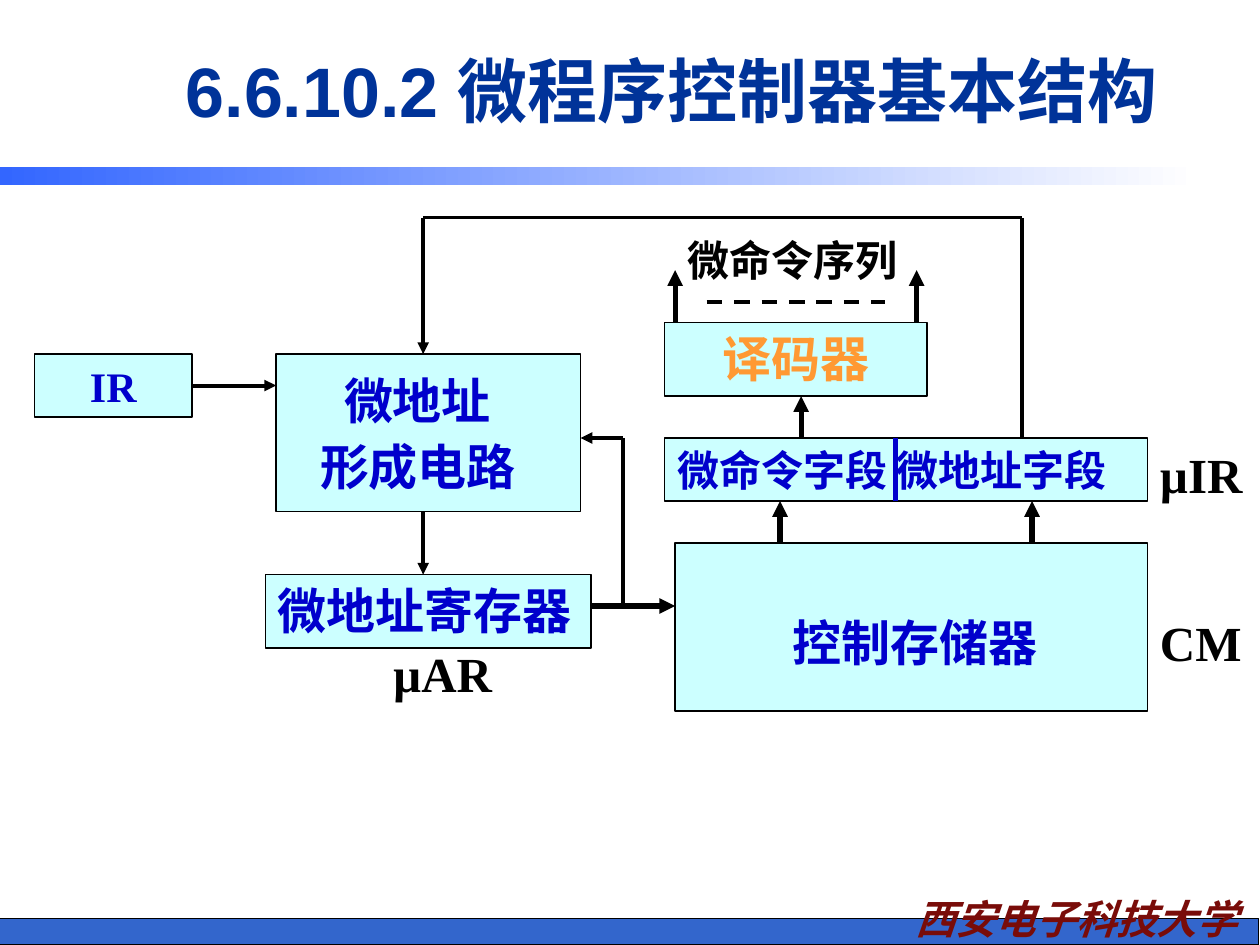
from lxml import etree
from pptx import Presentation
from pptx import util as u
from pptx.dml.color import RGBColor
from pptx.enum import dml, shapes, text
from pptx.oxml import ns

WIDTH, HEIGHT = 10, 7.5
CELL = 1 / 12                  # grid step of the diagram, inches
GRID_X, GRID_Y = 0.025, 0.06   # grid origin, inches

BLACK = RGBColor(0x00, 0x00, 0x00)
WHITE = RGBColor(0xFF, 0xFF, 0xFF)
PALE_CYAN = RGBColor(0xCC, 0xFF, 0xFF)
BLUE = RGBColor(0x00, 0x00, 0xCC)
ORANGE = RGBColor(0xFF, 0x99, 0x33)
TITLE_BLUE = RGBColor(0x00, 0x33, 0x99)
BAND_BLUE = RGBColor(0x33, 0x66, 0xFF)
FOOTER_BLUE = RGBColor(0x33, 0x66, 0xCC)
DARK_RED = RGBColor(0x79, 0x0C, 0x09)

SERIF, SANS, CHINESE = "Times New Roman", "Arial", "Noto Sans CJK SC"


def col(n):
    return u.Inches(GRID_X + n * CELL)


def row(n):
    return u.Inches(GRID_Y + n * CELL)


def cells(left, top, right, bottom):
    """Left, top, width and height of a block of grid cells."""
    return col(left), row(top), col(right) - col(left), row(bottom) - row(top)


def share(left, top, width, height):
    """Left, top, width and height from shares of the slide's size."""
    return (u.Inches(left * WIDTH), u.Inches(top * HEIGHT),
            u.Inches(width * WIDTH), u.Inches(height * HEIGHT))


def write(holder, lines, size=28, color=BLUE, font=SERIF, italic=False,
          align=text.PP_ALIGN.LEFT, anchor=text.MSO_ANCHOR.TOP,
          indents=(0,), spacing=None, gap=0):
    """Write one paragraph a line; indents are in inches, gap in points."""
    frame = holder.text_frame
    frame.word_wrap = True
    frame.vertical_anchor = anchor
    indents = list(indents) + [0] * len(lines)
    for i, (line, indent) in enumerate(zip(lines, indents)):
        para = frame.paragraphs[0] if i == 0 else frame.add_paragraph()
        para.alignment = align
        if indent:
            para._p.get_or_add_pPr().set("marL", str(u.Inches(indent)))
        if spacing:
            para.line_spacing = spacing
        if i:
            para.space_before = u.Pt(gap)
        run = para.add_run()
        run.text = line
        run.font.size, run.font.name = u.Pt(size), font
        run.font.bold, run.font.italic = True, italic
        run.font.color.rgb = color
        east_asian = etree.SubElement(run._r.rPr, ns.qn("a:ea"))
        east_asian.set("typeface", CHINESE)


def label(slide, place, lines, **style):
    write(slide.shapes.add_textbox(*place), lines, **style)


def box(slide, place, lines=(), fill=PALE_CYAN, **style):
    block = slide.shapes.add_shape(shapes.MSO_SHAPE.RECTANGLE, *place)
    block.shadow.inherit = False
    block.fill.solid()
    block.fill.fore_color.rgb = fill
    block.line.color.rgb = BLACK
    block.line.width = u.Pt(0.75)
    if lines:
        write(block, lines, **style)


def wire(slide, points, width=2.25, color=BLACK, arrow=False, dashed=False):
    """Join grid points with straight lines; the arrow sits on the last."""
    for i, (start, end) in enumerate(zip(points, points[1:]), start=2):
        line = slide.shapes.add_connector(
            shapes.MSO_CONNECTOR.STRAIGHT,
            col(start[0]), row(start[1]), col(end[0]), row(end[1]))
        line.line.color.rgb = color
        line.line.width = u.Pt(width)
        if dashed:
            line.line.dash_style = dml.MSO_LINE.DASH
        if arrow and i == len(points):
            tail = etree.SubElement(line.line._get_or_add_ln(),
                                    ns.qn("a:tailEnd"))
            tail.set("type", "triangle")
        etree.SubElement(line._element.spPr, ns.qn("a:effectLst"))


def gradient_band(slide, place):
    band = slide.shapes.add_shape(shapes.MSO_SHAPE.RECTANGLE, *place)
    band.shadow.inherit = False
    band.line.fill.background()
    band.fill.gradient()
    band.fill.gradient_angle = 0
    for stop, color in zip(band.fill.gradient_stops, (BAND_BLUE, WHITE)):
        stop.color.rgb = color


def add_frame(slide):
    centred = text.PP_ALIGN.CENTER
    box(slide, share(-0.001, 0.972, 1, 0.028), fill=FOOTER_BLUE)
    label(slide, share(0.697, 0.94, 0.315, 0.065), ["西安电子科技大学"],
          size=23, color=DARK_RED, font=CHINESE, italic=True, align=centred)
    gradient_band(slide, share(0, 0.177, 0.951, 0.019))
    label(slide, share(0.133, 0.023, 0.8, 0.144),
          ["6.6.10.2 微程序控制器基本结构"], size=40, color=TITLE_BLUE,
          font=SANS, align=centred, anchor=text.MSO_ANCHOR.MIDDLE)


def add_blocks(slide):
    # Address side: instruction register, address circuit, address register
    box(slide, cells(26, 33, 55, 48))
    label(slide, cells(29, 36, 56, 47), ["微地址", "形成电路"],
          indents=(0.19,), spacing=0.6, gap=17.5)
    box(slide, cells(3, 33, 18, 39), ["IR"], size=24, indents=(0.34,))
    box(slide, cells(25, 54, 56, 61), ["微地址寄存器"])
    label(slide, cells(35, 60, 51, 67), ["µAR"], color=BLACK,
          indents=(0.08,))

    # Control memory
    box(slide, cells(64, 51, 109, 67))
    label(slide, cells(74, 57, 102, 64), ["控制存储器"])
    label(slide, cells(109, 57, 122, 64), ["CM"], color=BLACK)

    # Decoder and its output
    box(slide, cells(63, 30, 88, 37), ["译码器"], color=ORANGE,
        indents=(0.36,))
    label(slide, cells(64, 21, 89, 27), ["微命令序列"], size=24, color=BLACK)

    # Microinstruction register with its two fields
    box(slide, cells(63, 41, 109, 47), ["微命令字段 微地址字段"],
        size=24, font=CHINESE)
    wire(slide, [(85, 41), (85, 47)], width=3, color=BLUE)
    label(slide, cells(109, 41, 122, 48), ["µIR"], color=BLACK)


def add_wires(slide):
    # Upward signals: column, from row, to row
    for x, start, end in ((74, 51, 47), (98, 51, 47), (76, 41, 37),
                          (64, 30, 25), (87, 30, 25)):
        wire(slide, [(x, start), (x, end)], width=3, arrow=True)
    wire(slide, [(67, 28), (84, 28)], dashed=True)

    # Address register to control memory, and back to the address circuit
    wire(slide, [(56, 57), (64, 57)], width=3, arrow=True)
    wire(slide, [(59, 57), (59, 41), (55, 41)], arrow=True)

    # Inputs and output of the address circuit
    wire(slide, [(40, 48), (40, 54)], arrow=True)
    wire(slide, [(18, 36), (26, 36)], arrow=True)
    wire(slide, [(97, 41), (97, 20), (40, 20), (40, 33)], arrow=True)


def main():
    deck = Presentation()
    deck.slide_width, deck.slide_height = u.Inches(WIDTH), u.Inches(HEIGHT)
    slide = deck.slides.add_slide(deck.slide_layouts[6])
    add_frame(slide)
    add_blocks(slide)
    add_wires(slide)
    deck.save("out.pptx")


if __name__ == "__main__":
    main()
